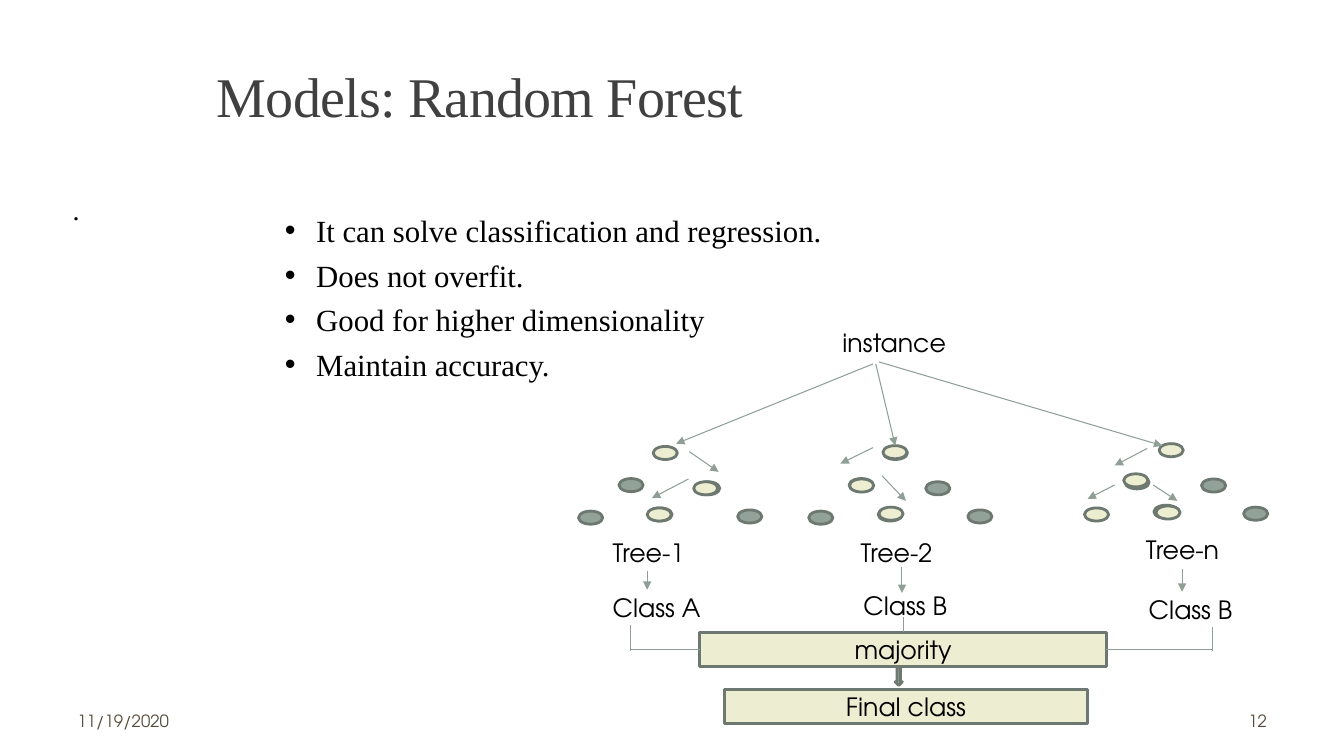
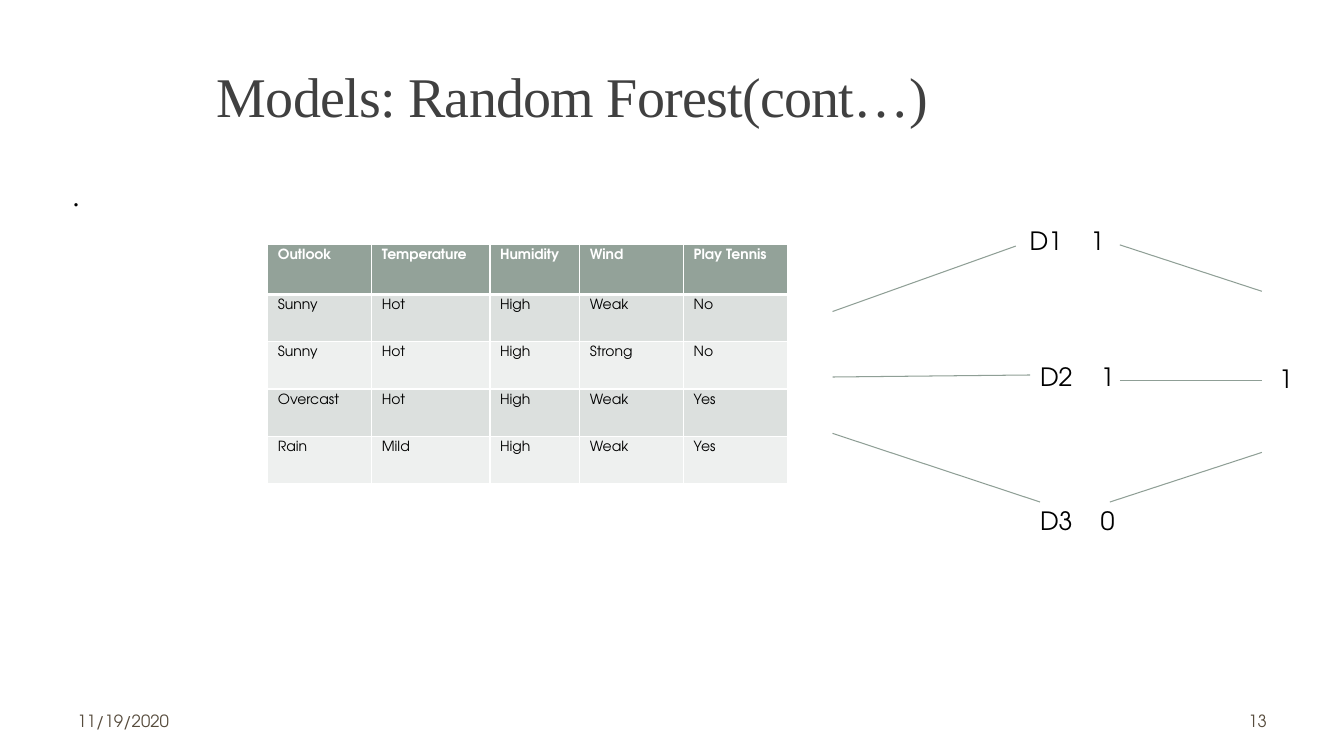
from pptx import Presentation
from pptx import util as u
from pptx.dml.color import RGBColor
from pptx.enum import shapes, text
from pptx.oxml import ns
from lxml import etree

COLOURS = {
    "title": "404040",
    "text": "000000",
    "footer": "564B3C",
    "node": "93A299",
    "path_node": "ECEDD1",
    "outline": "6D7871",
    "link": "8F9F96",
    "white": "FFFFFF",
    "odd_row": "DCE0DE",
    "even_row": "EEF0EF",
}
SANS = "TeX Gyre Adventor"
SERIF = "Times New Roman"
NODE_SIZE = (0.61, 0.33)
LABEL_SIZE = (4.4, 1.02)


def colour(name):
    return RGBColor.from_string(COLOURS[name])


def add_xml(parent, tag, **attributes):
    return etree.SubElement(parent, ns.qn(tag), attributes)


class Slides:
    def __init__(self):
        self.deck = Presentation()
        self.deck.slide_width = u.Cm(33.87)
        self.deck.slide_height = u.Cm(19.05)
        self.page = None

    def style(self, para, size, font=SANS, ink="text", bold=False):
        for span in para.runs:
            span.font.size = u.Pt(size)
            span.font.name = font
            span.font.bold = bold
            span.font.color.rgb = colour(ink)

    def start(self, title, number, dot_top):
        self.page = self.deck.slides.add_slide(self.deck.slide_layouts[5])
        box = self.page.shapes.title
        box.left, box.top, box.width, box.height = map(u.Cm, (5.21, 1.68, 28.65, 4.04))
        frame = box.text_frame
        frame.text = title
        frame.auto_size = text.MSO_AUTO_SIZE.NONE
        frame.vertical_anchor = text.MSO_ANCHOR.TOP
        para = frame.paragraphs[0]
        para.alignment = text.PP_ALIGN.LEFT
        para.line_spacing = 0.85
        self.style(para, 40, SERIF, "title")
        para.runs[0].font._element.set("spc", "-50")
        self.label("11/19/2020", 1.7, 17.65, 7.9, size=12, ink="footer", middle=True)
        page_number = self.label(number, 24.28, 17.65, 7.9, size=12, ink="footer", middle=True)
        page_number.alignment = text.PP_ALIGN.RIGHT
        self.label(".", 1.58, dot_top, 1, size=20, font=SERIF)

    def text_frame(self, left, top, width, height):
        box = self.page.shapes.add_textbox(*map(u.Cm, (left, top, width, height)))
        box.text_frame.word_wrap = True
        return box.text_frame

    def label(self, words, left, top, width=LABEL_SIZE[0], size=18, font=SANS, ink="text", middle=False):
        frame = self.text_frame(left, top, width, LABEL_SIZE[1])
        frame.text = words
        if middle:
            frame.vertical_anchor = text.MSO_ANCHOR.MIDDLE
        para = frame.paragraphs[0]
        self.style(para, size, font, ink)
        return para

    def bullets(self, items, left, top, width, height):
        frame = self.text_frame(left, top, width, height)
        frame.text = "\n".join(items)
        for para in frame.paragraphs:
            para.space_after = u.Pt(5.4)
            self.style(para, 22, SERIF)
            properties = para._p.get_or_add_pPr()
            properties.set("marL", str(u.Cm(0.79)))
            properties.set("indent", str(-u.Cm(0.79)))
            add_xml(properties, "a:buFont", typeface="Arial")
            add_xml(properties, "a:buChar", char="•")

    def shape(self, kind, left, top, width, height, fill, words=""):
        shape = self.page.shapes.add_shape(kind, *map(u.Cm, (left, top, width, height)))
        shape.shadow.inherit = False
        shape.fill.solid()
        shape.fill.fore_color.rgb = colour(fill)
        shape.line.color.rgb = colour("outline")
        shape.line.width = u.Pt(2)
        if words:
            frame = shape.text_frame
            frame.text = words
            frame.vertical_anchor = text.MSO_ANCHOR.MIDDLE
            frame.paragraphs[0].alignment = text.PP_ALIGN.CENTER
            self.style(frame.paragraphs[0], 18)

    def node(self, left, top, fill):
        self.shape(shapes.MSO_SHAPE.OVAL, left, top, *NODE_SIZE, fill)

    def link(self, x1, y1, x2, y2, arrow=False):
        line = self.page.shapes.add_connector(
            shapes.MSO_CONNECTOR.STRAIGHT, *map(u.Cm, (x1, y1, x2, y2)))
        line.line.color.rgb = colour("link")
        line.line.width = u.Pt(0.75)
        if arrow:
            add_xml(line.line._get_or_add_ln(), "a:tailEnd", type="triangle")
        add_xml(line._element.spPr, "a:effectLst")

    def border(self, cell, side, points):
        edge = add_xml(cell._tc.get_or_add_tcPr(), f"a:ln{side}", w=str(u.Pt(points)))
        add_xml(add_xml(edge, "a:solidFill"), "a:srgbClr", val=COLOURS["white"])

    def table(self, rows, left, top, widths, heights):
        frame = self.page.shapes.add_table(
            len(rows), len(widths), *map(u.Cm, (left, top, sum(widths), sum(heights))))
        table = frame.table
        table.horz_banding = False
        for column, width in zip(table.columns, widths):
            column.width = u.Cm(width)
        for index, (row, height) in enumerate(zip(table.rows, heights)):
            row.height = u.Cm(height)
            header = index == 0
            fill = "node" if header else ("even_row", "odd_row")[index % 2]
            for cell, words in zip(row.cells, rows[index]):
                cell.text = words
                self.style(cell.text_frame.paragraphs[0], 10,
                           ink="white" if header else "text", bold=header)
                for side in "LRTB":
                    thick = (header and side == "B") or (index == 1 and side == "T")
                    self.border(cell, side, 3 if thick else 1)
                cell.fill.solid()
                cell.fill.fore_color.rgb = colour(fill)


def draw_forest(slides):
    slides.start("Models: Random Forest", "12", 4.72)
    slides.bullets(["It can solve classification and regression.", "Does not overfit.",
                    "Good for higher dimensionality", "Maintain accuracy."], 6.93, 5.21, 22, 4.6)

    root, right, right_leaf = (1.88, 0), (2.95, 0.89), (4.01, 1.6)
    left, left_leaf, middle_leaf = (1.02, 0.81), (0, 1.63), (1.75, 1.55)
    inner = [right, right_leaf, left, middle_leaf]
    trees = [
        (14.58, 11.25, inner + [left_leaf],
         [(16.46, 11.25), (17.48, 12.14), (16.31, 12.8)]),
        (20.38, 11.25, inner + [left_leaf, root],
         [(21.41, 12.07), (22.25, 11.23), (22.15, 12.78)]),
        (27.33, 11.18, inner,
         [(28.32, 11.94), (29.21, 11.18), (27.33, 12.8), (29.13, 12.75)]),
    ]
    for x, y, plain_nodes, path_nodes in trees:
        for dx, dy in plain_nodes:
            slides.node(x + dx, y + dy, "node")
        for point in path_nodes:
            slides.node(*point, "path_node")

    for words, x, y in [
        ("instance", 20.98, 8.13),
        ("Tree-1", 15.19, 13.41), ("Tree-2", 21.44, 13.41), ("Tree-n", 28.63, 13.34),
        ("Class A", 15.19, 14.81), ("Class B", 21.51, 14.76), ("Class B", 28.7, 14.86),
    ]:
        slides.label(words, x, y)

    box = shapes.MSO_SHAPE.RECTANGLE
    slides.shape(box, 17.63, 15.93, 10.26, 0.86, "path_node", "majority")
    slides.shape(box, 18.26, 17.37, 9.14, 0.86, "path_node", "Final class")

    for ends in [
        (22, 9.17, 17.04, 11.18), (22.07, 9.17, 22.56, 11.23), (22.15, 9.12, 29.29, 11.23),
        (17.37, 11.38, 18.11, 11.89), (17.35, 12.07, 16.43, 12.55),
        (22, 11.28, 21.18, 11.68), (22.23, 11.99, 22.83, 12.62),
        (28.91, 11.3, 28.09, 11.73), (28.09, 12.22, 27.41, 12.57), (29.06, 12.22, 29.67, 12.62),
        (16.31, 14.38, 16.31, 14.86), (22.73, 14.3, 22.73, 14.94), (29.79, 14.33, 29.79, 14.91),
    ]:
        slides.link(*ends, arrow=True)
    for ends in [
        (27.86, 16.36, 30.56, 16.36), (17.63, 16.36, 15.88, 16.36),
        (15.88, 16.41, 15.88, 15.75), (30.56, 16.41, 30.56, 15.8), (22.76, 15.93, 22.76, 15.54),
    ]:
        slides.link(*ends)
    slides.shape(shapes.MSO_SHAPE.DOWN_ARROW, 22.56, 16.81, 0.18, 0.46, "node")


def draw_votes(slides):
    slides.start("Models: Random Forest(cont…)", "13", 4.37)
    for ends in [
        (20.98, 7.85, 25.6, 6.2), (20.98, 9.5, 25.96, 9.45), (20.98, 10.92, 26.21, 12.65),
        (28.22, 6.17, 31.8, 7.34), (28.22, 9.6, 31.8, 9.6), (27.97, 12.65, 31.8, 11.4),
    ]:
        slides.link(*ends)
    for name, vote, x, y in [
        ("D1", "1", 25.7, 5.56), ("D2", "1", 25.96, 8.99), ("D3", "0", 25.96, 12.6),
    ]:
        slides.label(name, x, y, 1.6)
        slides.label(vote, x + 1.53, y, 1.2)
    slides.label("1", 31.98, 9.02, 1.2)
    slides.table([
        ["Outlook", "Temperature", "Humidity", "Wind", "Play Tennis"],
        ["Sunny", "Hot", "High", "Weak", "No"],
        ["Sunny", "Hot", "High", "Strong", "No"],
        ["Overcast", "Hot", "High", "Weak", "Yes"],
        ["Rain", "Mild", "High", "Weak", "Yes"],
    ], 6.75, 6.15, [2.62, 2.98, 2.26, 2.62, 2.62], [1.27] + [1.19] * 4)


def main():
    slides = Slides()
    draw_forest(slides)
    draw_votes(slides)
    slides.deck.save("out.pptx")


if __name__ == "__main__":
    main()
